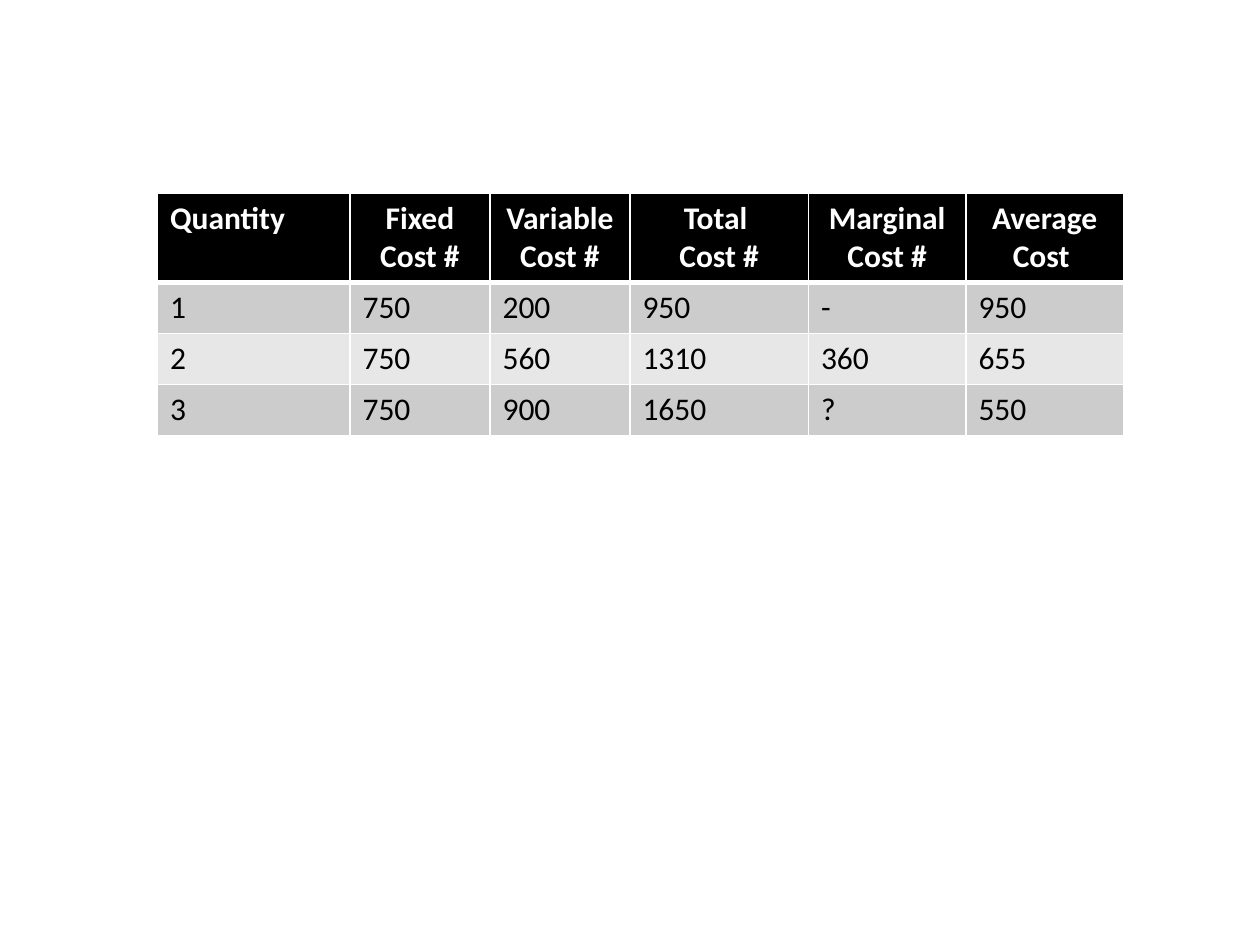
from dataclasses import dataclass

from lxml.etree import SubElement
from pptx import Presentation
from pptx.dml.color import RGBColor as RGB
from pptx.enum.text import PP_ALIGN as Align
from pptx.oxml.ns import qn
from pptx.util import Pt


@dataclass(frozen=True)
class Theme:
    font: str = "Calibri"
    size: int = 18
    header_fill: str = "000000"
    header_text: str = "FFFFFF"
    body_text: str = "000000"
    bands: tuple = ("CCCCCC", "E7E7E7")
    border: str = "FFFFFF"
    thin: int = 1
    thick: int = 3


theme = Theme()


def set_borders(cell, widths):
    """Draw the cell's borders; widths maps L, R, T, B (in that order) to points."""
    properties = cell._tc.get_or_add_tcPr()
    for position, (side, width) in enumerate(widths.items()):
        line = SubElement(properties, qn(f"a:ln{side}"), w=str(Pt(width)))
        fill = SubElement(line, qn("a:solidFill"))
        SubElement(fill, qn("a:srgbClr"), val=theme.border)
        properties.insert(position, line)


presentation = Presentation()
presentation.slide_width, presentation.slide_height = Pt(720), Pt(540)
slide = presentation.slides.add_slide(presentation.slide_layouts[6])

rows = [
    ["Quantity", "Fixed Cost #", "Variable Cost #", "Total \nCost #",
     "Marginal Cost #", "Average Cost "],
    ["1", "750", "200", "950", "-", "950"],
    ["2", "750", "560", "1310", "360", "655"],
    ["3", "750", "900", "1650", "?", "550"],
]
column_widths = [110, 80, 80, 102, 90, 90]
row_heights = [50.4] + [29.2] * 3

table = slide.shapes.add_table(
    len(rows), len(column_widths), Pt(90), Pt(110.2),
    Pt(sum(column_widths)), Pt(sum(row_heights)),
).table
for column, width in zip(table.columns, column_widths):
    column.width = Pt(width)
for row, height in zip(table.rows, row_heights):
    row.height = Pt(height)

for row_index, values in enumerate(rows):
    is_header = row_index == 0
    fill = theme.header_fill if is_header else theme.bands[(row_index - 1) % 2]
    color = theme.header_text if is_header else theme.body_text
    borders = {
        "L": theme.thin,
        "R": theme.thin,
        "T": theme.thick if row_index == 1 else theme.thin,
        "B": theme.thick if is_header else theme.thin,
    }
    font_format = {"name": theme.font, "size": Pt(theme.size), "bold": is_header}
    for column_index, value in enumerate(values):
        cell = table.cell(row_index, column_index)
        cell.text = value
        cell.fill.solid()
        cell.fill.fore_color.rgb = RGB.from_string(fill)
        set_borders(cell, borders)
        for paragraph in cell.text_frame.paragraphs:
            if is_header and column_index > 0:
                paragraph.alignment = Align.CENTER
            for run in paragraph.runs:
                for name, setting in font_format.items():
                    setattr(run.font, name, setting)
                run.font.color.rgb = RGB.from_string(color)

presentation.save("out.pptx")
